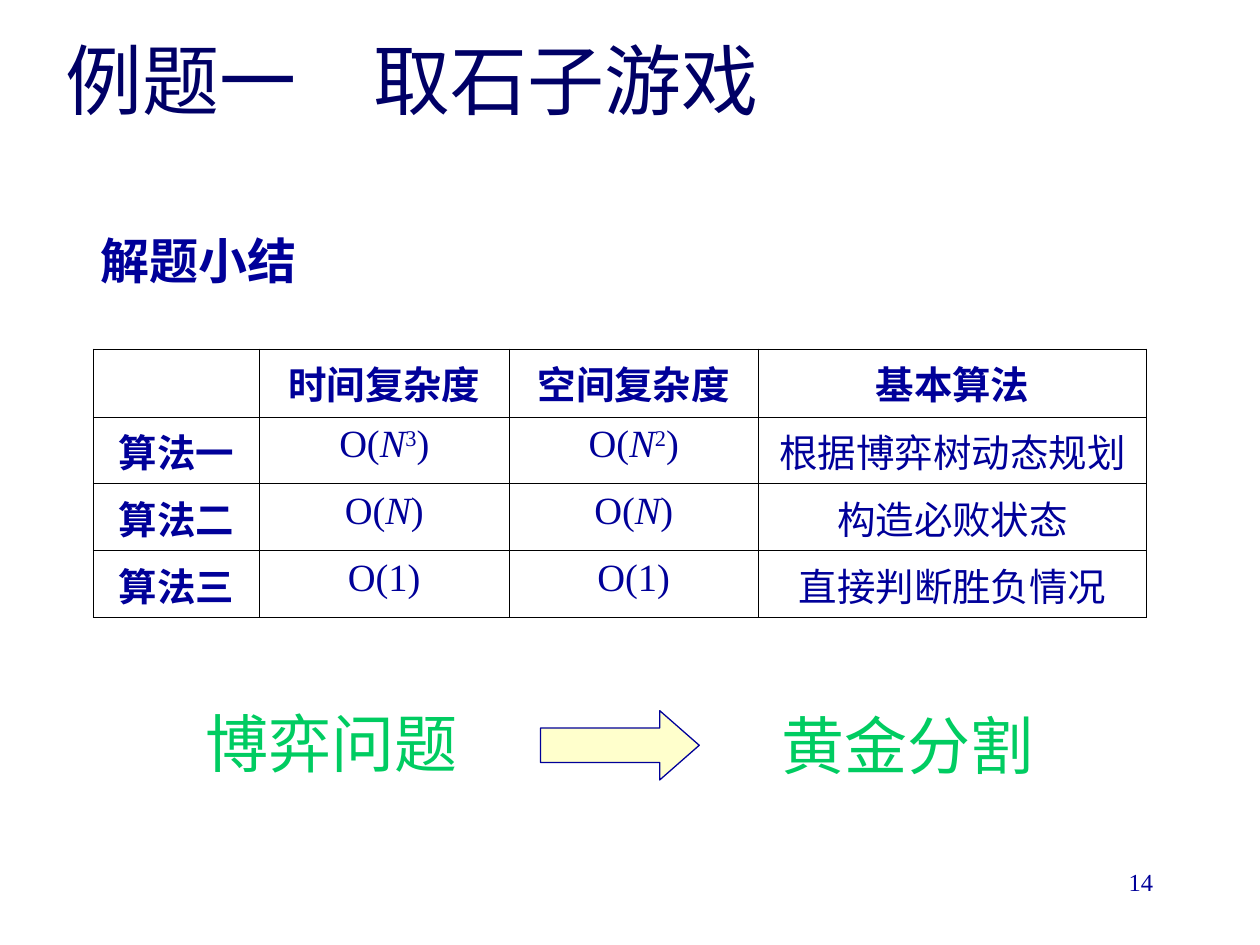
from lxml.etree import SubElement
from pptx import Presentation
from pptx.dml.color import RGBColor
from pptx.enum.shapes import MSO_SHAPE as Shape
from pptx.enum.text import MSO_ANCHOR as Anchor, PP_ALIGN as Align
from pptx.oxml.ns import qn
from pptx.util import Inches, Pt

COLORS = {"title": "000066", "text": "000099", "accent": "00CC61",
          "arrow": "FFFFCC", "border": "000000"}
SERIF, SANS = "Times New Roman", "Noto Sans CJK SC"
COLS, ROWS = 100, 75


class Deck:
    def __init__(self):
        self.prs = Presentation()
        self.prs.slide_width, self.prs.slide_height = Inches(10), Inches(7.5)
        self.s = self.prs.slides.add_slide(self.prs.slide_layouts[6])

    def x(self, cols):
        return round(self.prs.slide_width * cols / COLS)

    def y(self, rows):
        return round(self.prs.slide_height * rows / ROWS)

    def box(self, left, top, width, height):
        return self.x(left), self.y(top), self.x(width), self.y(height)

    def color(self, name):
        return RGBColor.from_string(COLORS[name])

    def fill_text(self, tf, text, size, color="text", font=SERIF, bold=False, align=Align.LEFT):
        p = tf.paragraphs[0]
        p.alignment = align
        for part in text.split("|"):
            r = p.add_run()
            r.text = part.lstrip("^")
            if part == "N":
                r.font.italic = True
            if part.startswith("^"):
                r.font._element.set("baseline", "30000")
        p.font.size, p.font.bold, p.font.name = Pt(size), bold, font
        p.font.color.rgb = self.color(color)
        SubElement(p.font._element, qn("a:ea"), typeface=SANS)

    def text(self, place, text, size, anchor=Anchor.TOP, **style):
        tf = self.s.shapes.add_textbox(*self.box(*place)).text_frame
        tf.word_wrap = True
        tf.vertical_anchor = anchor
        self.fill_text(tf, text, size, **style)

    def arrow(self, place):
        sp = self.s.shapes.add_shape(Shape.RIGHT_ARROW, *self.box(*place))
        sp.adjustments[0], sp.adjustments[1] = 0.5, 0.57
        sp.shadow.inherit = False
        sp.fill.solid()
        sp.fill.fore_color.rgb = self.color("arrow")
        sp.line.color.rgb = self.color("text")
        sp.line.width = Pt(0.75)

    def borders(self, cell):
        tcPr = cell._tc.get_or_add_tcPr()
        for i, side in enumerate(("lnL", "lnR", "lnT", "lnB")):
            ln = tcPr.makeelement(qn(f"a:{side}"), {"w": str(int(Pt(0.45)))})
            fill = SubElement(ln, qn("a:solidFill"))
            SubElement(fill, qn("a:srgbClr"), val=COLORS["border"])
            tcPr.insert(i, ln)

    def table(self, left, top, widths, heights, rows, size):
        place = self.box(left, top, sum(widths), sum(heights))
        table = self.s.shapes.add_table(len(rows), len(widths), *place).table
        table.first_row = table.horz_banding = False
        for column, width in zip(table.columns, widths):
            column.width = self.x(width)
        for row, height in zip(table.rows, heights):
            row.height = self.y(height)
        for i, row in enumerate(rows):
            for j, text in enumerate(row):
                cell = table.cell(i, j)
                cell.fill.background()
                self.borders(cell)
                if text:
                    self.fill_text(cell.text_frame, text, size,
                                   bold=i == 0 or j == 0, align=Align.CENTER)


def main():
    deck = Deck()
    deck.text((4.2, 0, 92.5, 12.5), "例题一　取石子游戏", 44,
              anchor=Anchor.MIDDLE, color="title", font=SANS)
    deck.text((7, 17.8, 19.4, 5.7), "解题小结", 28, bold=True)
    deck.text((15.3, 55.4, 25.2, 7), "博弈问题", 36, color="accent")
    deck.arrow((42.9, 56.4, 12.6, 5.5))
    deck.text((61, 55.6, 22.5, 7), "黄金分割", 36, color="accent")
    deck.table(7.4, 27.7, (13.2, 19.8, 19.8, 30.8), (5.4, 5.3, 5.3, 5.3), [
        ("", "时间复杂度", "空间复杂度", "基本算法"),
        ("算法一", "O(|N|^3|)", "O(|N|^2|)", "根据博弈树动态规划"),
        ("算法二", "O(|N|)", "O(|N|)", "构造必败状态"),
        ("算法三", "O(1)", "O(1)", "直接判断胜负情况"),
    ], 22)
    deck.text((71.7, 68.3, 20.8, 5), "14", 14, align=Align.RIGHT)
    deck.prs.save("out.pptx")


if __name__ == "__main__":
    main()
